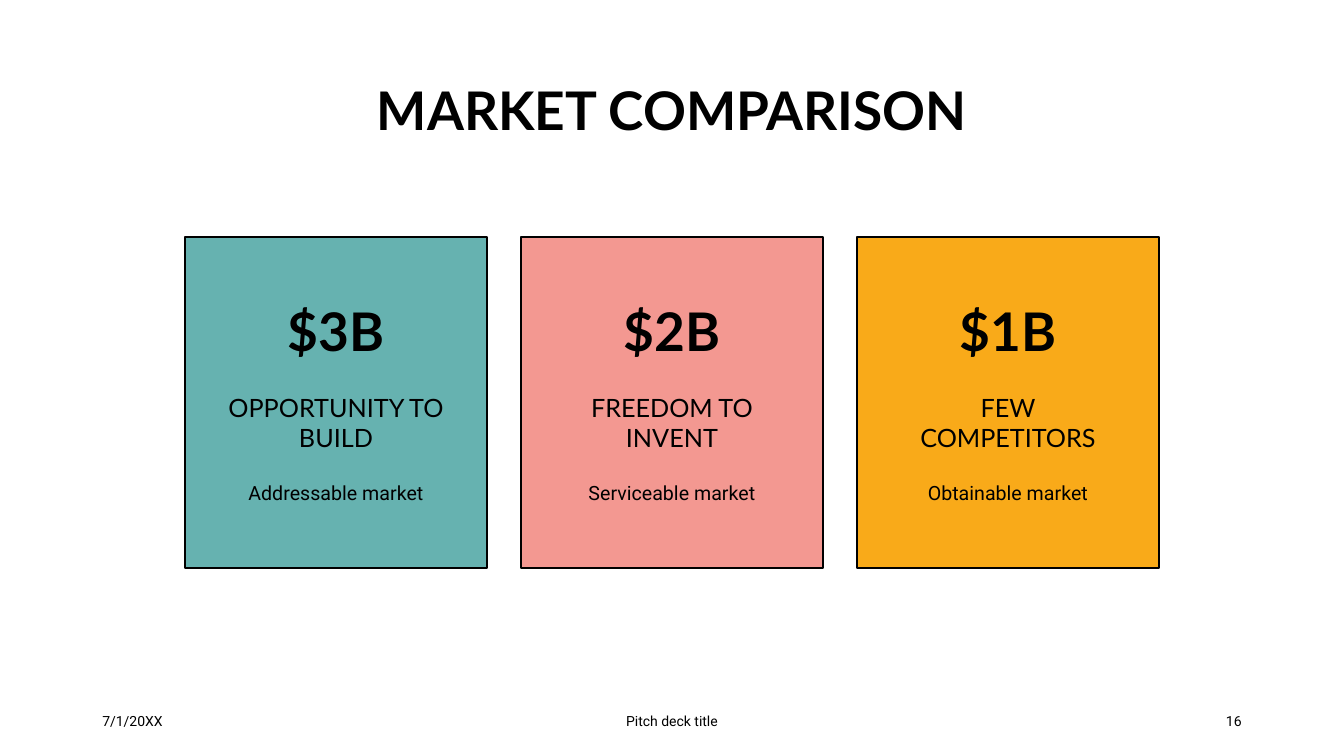
from pptx import Presentation
from pptx.dml.color import RGBColor
from pptx.enum.shapes import MSO_SHAPE as SHAPE
from pptx.enum.text import MSO_ANCHOR as ANCHOR, PP_ALIGN as ALIGN
from pptx.util import Pt

TITLE = "MARKET COMPARISON"
CARDS = [
    ("66B2B0", "$3B", ["OPPORTUNITY TO BUILD"], "Addressable market"),
    ("F39891", "$2B", ["FREEDOM TO INVENT"], "Serviceable market"),
    ("F9AA19", "$1B", ["FEW", "COMPETITORS"], "Obtainable market"),
]
FOOTERS = [
    ("7/1/20XX", 66, 216, ALIGN.LEFT),
    ("Pitch deck title", 318, 324, ALIGN.CENTER),
    ("16", 678, 216, ALIGN.RIGHT),
]
HEADING, BODY, INK = "Lato", "Roboto", "000000"
CARD_LEFT, CARD_TOP, CARD_W, CARD_H, CARD_PITCH = 132, 169.2, 216, 236.4, 240
LABEL_W = 180


def color(value):
    return RGBColor.from_string(value)


def write(sp, lines, size, font, bold=False, align=ALIGN.CENTER,
          anchor=ANCHOR.TOP, spacing=None):
    tf = sp.text_frame
    tf.word_wrap = True
    tf.vertical_anchor = anchor
    tf.text = "\n".join(lines)
    for p in tf.paragraphs:
        p.alignment = align
        p.line_spacing = spacing
        p.font.size = Pt(size)
        p.font.name = font
        p.font.bold = bold
        p.font.color.rgb = color(INK)


def add_text(s, box, lines, size, font, **style):
    sp = s.shapes.add_textbox(*map(Pt, box))
    write(sp, lines, size, font, **style)


def add_card(s, left, fill, amount, label, market):
    sp = s.shapes.add_shape(SHAPE.RECTANGLE, Pt(left), Pt(CARD_TOP), Pt(CARD_W), Pt(CARD_H))
    sp.shadow.inherit = False
    sp.fill.solid()
    sp.fill.fore_color.rgb = color(fill)
    sp.line.color.rgb = color(INK)
    sp.line.width = Pt(1.75)
    sp.text_frame.margin_top = Pt(49)
    write(sp, [amount], 38, HEADING, bold=True, spacing=0.9)
    label_left = left + (CARD_W - LABEL_W) / 2
    add_text(s, (label_left, 276.5, LABEL_W, 57.6), label, 18, HEADING)
    add_text(s, (label_left, 337, LABEL_W, 50.4), [market], 14, BODY, spacing=Pt(20))


prs = Presentation()
prs.slide_width, prs.slide_height = Pt(960), Pt(540)
s = prs.slides.add_slide(prs.slide_layouts[6])

add_text(s, (66, 28.8, 828, 104.4), [TITLE], 38, HEADING,
         bold=True, anchor=ANCHOR.MIDDLE, spacing=0.9)
for i, card in enumerate(CARDS):
    add_card(s, CARD_LEFT + i * CARD_PITCH, *card)
for text, left, width, align in FOOTERS:
    add_text(s, (left, 500.5, width, 28.8), [text], 10, BODY,
             align=align, anchor=ANCHOR.MIDDLE)

prs.save("out.pptx")
